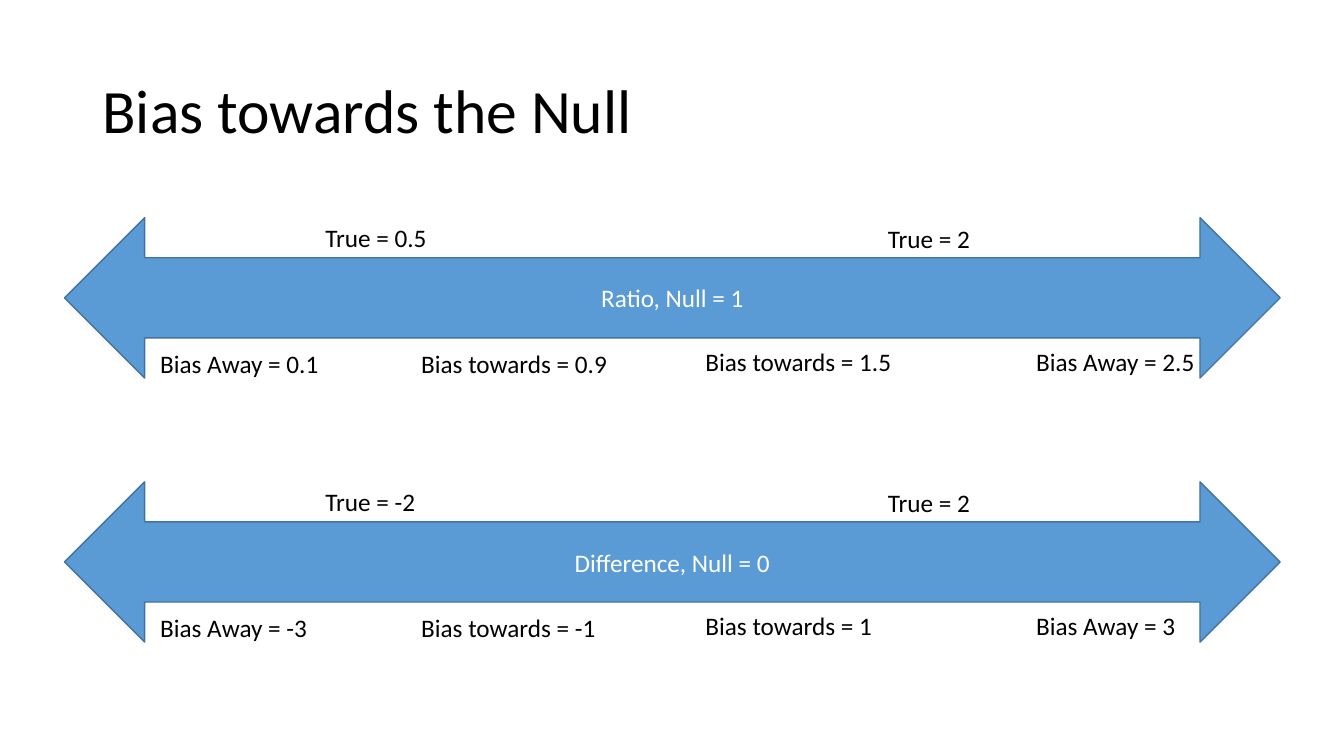
from pptx import Presentation
from pptx.dml.color import RGBColor
from pptx.enum.shapes import MSO_SHAPE
from pptx.enum.text import MSO_ANCHOR, MSO_AUTO_SIZE, PP_ALIGN
from pptx.util import Inches, Pt

DOUBLE_ARROW = MSO_SHAPE.LEFT_RIGHT_ARROW
MIDDLE = MSO_ANCHOR.MIDDLE
FIT_SHAPE, NO_FIT = MSO_AUTO_SIZE.SHAPE_TO_FIT_TEXT, MSO_AUTO_SIZE.NONE
LEFT, CENTER = PP_ALIGN.LEFT, PP_ALIGN.CENTER

BLACK = RGBColor(0x00, 0x00, 0x00)
WHITE = RGBColor(0xFF, 0xFF, 0xFF)
BLUE = RGBColor(0x5B, 0x9B, 0xD5)
DARK_BLUE = RGBColor(0x43, 0x73, 0x9E)

SLIDE_WIDTH, SLIDE_HEIGHT = Inches(13.33), Inches(7.5)
COLUMNS, ROWS = 160, 90
TITLE_BOX = (11, 4.8, 138, 17.4)
SCALE_BOX = (7.68, 25.92, 144.72, 19.08)
SCALE_PITCH = 31.44
LABEL_HEIGHT = 4.8
LABEL_SLOTS = [
    (29.88, 0, 14.64),
    (96.84, 0.12, 13.32),
    (10.2, 15, 28.32),
    (41.28, 15, 28.32),
    (75.12, 14.76, 28.32),
    (114.48, 14.76, 28.32),
]
SCALES = [
    ("Ratio, Null = 1",
     ["True = 0.5", "True = 2", "Bias Away = 0.1", "Bias towards = 0.9",
      "Bias towards = 1.5", "Bias Away = 2.5"]),
    ("Difference, Null = 0",
     ["True = -2", "True = 2", "Bias Away = -3", "Bias towards = -1",
      "Bias towards = 1", "Bias Away = 3"]),
]


def place(left, top, width, height):
    """Convert grid columns and rows to slide lengths."""
    column, row = SLIDE_WIDTH / COLUMNS, SLIDE_HEIGHT / ROWS
    return (round(left * column), round(top * row),
            round(width * column), round(height * row))


def write(frame, wording, size, color, alignment=LEFT):
    """Set one styled paragraph in a text frame."""
    frame.text = wording
    paragraph = frame.paragraphs[0]
    paragraph.alignment = alignment
    font = paragraph.runs[0].font
    font.name, font.size, font.color.rgb = "Calibri", Pt(size), color
    return paragraph


def add_title(slide, box, wording):
    """Fill the title placeholder inside the box."""
    title = slide.shapes.title
    title.left, title.top, title.width, title.height = place(*box)
    title.text_frame.vertical_anchor = MIDDLE
    title.text_frame.auto_size = NO_FIT
    write(title.text_frame, wording, 44, BLACK).line_spacing = 0.9


def add_scale(slide, box, null_value, estimates):
    """Draw a double arrow with its estimates around the shaft."""
    arrow = slide.shapes.add_shape(DOUBLE_ARROW, *place(*box))
    arrow.shadow.inherit = False
    arrow.fill.solid()
    arrow.fill.fore_color.rgb = BLUE
    arrow.line.color.rgb = DARK_BLUE
    arrow.line.width = Pt(1)
    arrow.text_frame.vertical_anchor = MIDDLE
    write(arrow.text_frame, null_value, 18, WHITE, CENTER)

    left, top = box[:2]
    for estimate, (column, row, width) in zip(estimates, LABEL_SLOTS):
        label = slide.shapes.add_textbox(
            *place(left + column, top + row, width, LABEL_HEIGHT))
        label.text_frame.word_wrap = width > 20
        label.text_frame.auto_size = FIT_SHAPE
        write(label.text_frame, estimate, 18, BLACK)


def build_slide(presentation):
    """Build the slide with its title and the two scales."""
    slide = presentation.slides.add_slide(presentation.slide_layouts[5])
    add_title(slide, TITLE_BOX, "Bias towards the Null")
    left, top, width, height = SCALE_BOX
    for index, (null_value, estimates) in enumerate(SCALES):
        box = (left, top + index * SCALE_PITCH, width, height)
        add_scale(slide, box, null_value, estimates)


presentation = Presentation()
presentation.slide_width, presentation.slide_height = SLIDE_WIDTH, SLIDE_HEIGHT
build_slide(presentation)
presentation.save("out.pptx")
